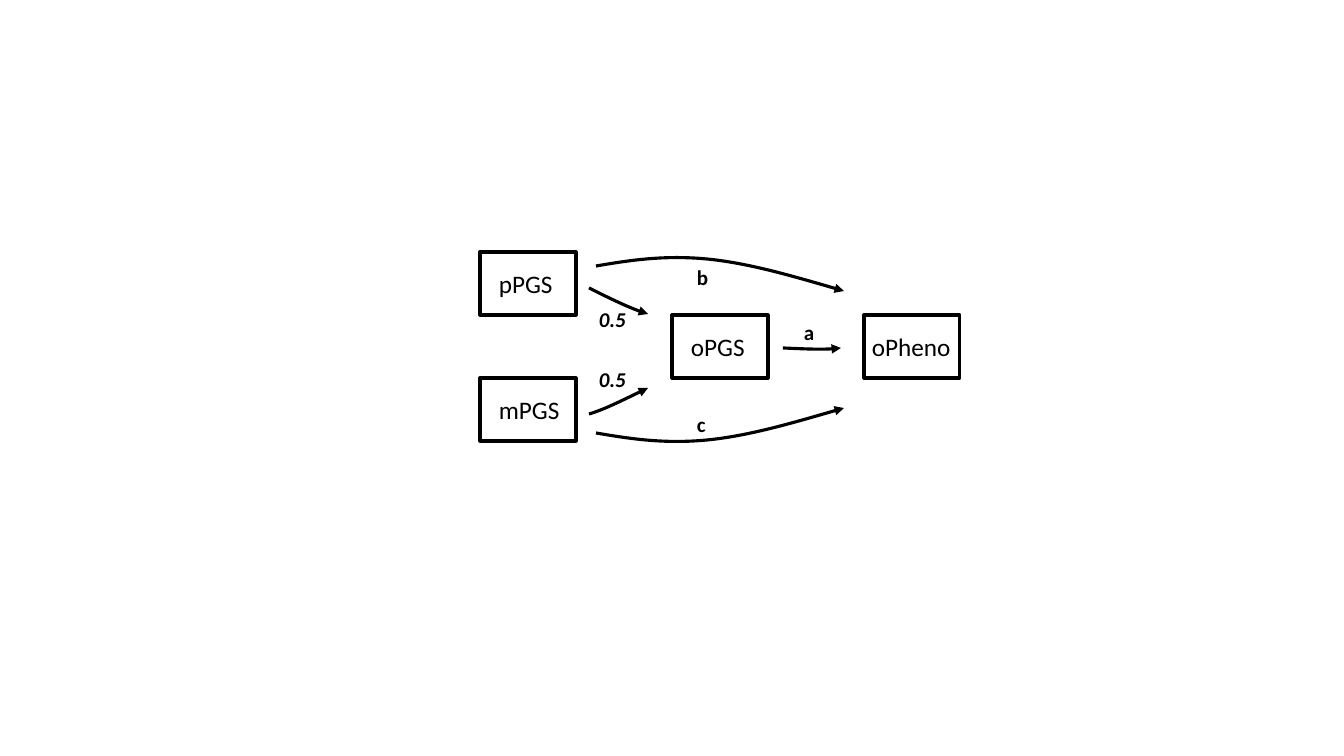
from dataclasses import dataclass

import pptx
import pptx.dml.color
import pptx.enum.shapes
import pptx.oxml.ns
import pptx.oxml.xmlchemy
import pptx.util

BLACK = pptx.dml.color.RGBColor(0, 0, 0)
FONT = "Calibri"
SLIDE_WIDTH, SLIDE_HEIGHT = 1344, 756
EMU_PER_PIXEL = 12192000 / SLIDE_WIDTH
LEFT, TOP = 480, 252
COLUMN_STEP, ROW_STEP = 192, 63
BOX_WIDTH, BOX_HEIGHT = 96, 63
MIRROR_SUM = 699  # y of a paternal path plus y of its maternal twin

Point = tuple[int, int]


@dataclass(frozen=True)
class Variable:
    """A boxed variable on the diagram grid."""
    name: str
    column: int
    row: int
    indent: int = 9


@dataclass(frozen=True)
class Coefficient:
    """A path coefficient written beside its arrow."""
    text: str
    left: int
    top: int
    width: int = 35
    italic: bool = False


VARIABLES = [
    Variable("pPGS", 0, 0),
    Variable("mPGS", 0, 2),
    Variable("oPGS", 1, 1),
    Variable("oPheno", 2, 1, indent=-2),
]
COEFFICIENTS = [
    Coefficient("0.5", 589, 362, 91, italic=True),
    Coefficient("c", 687, 407),
    Coefficient("a", 794, 315),
    Coefficient("b", 687, 260),
    Coefficient("0.5", 589, 302, 87, italic=True),
]
# Each path is a start point followed by triples of Bezier points.
PATERNAL_EFFECT = [(596, 266), (631, 260), (665, 255), (707, 259),
                   (748, 263), (796, 277), (844, 291)]
EFFECTS: list[list[Point]] = [
    [(589, 288), (611, 299), (634, 310), (648, 314)],
    [(589, 414), (603, 410), (625, 399), (648, 388)],
    [(783, 348), (805, 349), (829, 350), (841, 348)],
    PATERNAL_EFFECT,
    [(x, MIRROR_SUM - y) for x, y in PATERNAL_EFFECT],
]


def px(pixels: int) -> pptx.util.Emu:
    """Turn pixels into EMU."""
    return pptx.util.Emu(round(pixels * EMU_PER_PIXEL))


def outline(shape) -> None:
    """Give a shape a black outline without fill or shadow."""
    shape.shadow.inherit = False
    shape.fill.background()
    shape.line.color.rgb = BLACK
    shape.line.width = pptx.util.Pt(2.25)


def write(slide, text: str, left: int, top: int, width: int, height: int,
          size: int, bold: bool = False, italic: bool = False) -> None:
    """Add one line of text."""
    frame = slide.shapes.add_textbox(px(left), px(top), px(width), px(height)).text_frame
    frame.word_wrap = True
    run = frame.paragraphs[0].add_run()
    run.text = text
    run.font.name = FONT
    run.font.size = pptx.util.Pt(size)
    run.font.bold = bold
    run.font.italic = italic
    run.font.color.rgb = BLACK


def draw_variable(slide, variable: Variable) -> None:
    """Draw a variable's box and its name."""
    left = LEFT + variable.column * COLUMN_STEP
    top = TOP + variable.row * ROW_STEP
    box = slide.shapes.add_shape(pptx.enum.shapes.MSO_SHAPE.RECTANGLE,
                                 px(left), px(top), px(BOX_WIDTH), px(BOX_HEIGHT))
    outline(box)
    write(slide, variable.name, left + variable.indent, top + 11, 100, 40, 18)


def draw_effect(slide, points: list[Point]) -> None:
    """Draw a curved arrow through Bezier points."""
    (start_x, start_y), *rest = points
    builder = slide.shapes.build_freeform(px(start_x), px(start_y))
    builder.add_line_segments([(px(x), px(y)) for x, y in rest], close=False)
    arrow = builder.convert_to_shape()
    outline(arrow)

    qn = pptx.oxml.ns.qn
    new_element = pptx.oxml.xmlchemy.OxmlElement
    segments = list(arrow.element.iter(qn("a:lnTo")))
    for first in range(0, len(segments), 3):
        curve = new_element("a:cubicBezTo")
        segments[first].addprevious(curve)
        for segment in segments[first:first + 3]:
            curve.append(segment[0])
            segment.getparent().remove(segment)
    head = new_element("a:tailEnd")
    head.set("type", "triangle")
    arrow.element.spPr.find(qn("a:ln")).append(head)


def main() -> None:
    """Build the path diagram."""
    deck = pptx.Presentation()
    deck.slide_width, deck.slide_height = px(SLIDE_WIDTH), px(SLIDE_HEIGHT)
    slide = deck.slides.add_slide(deck.slide_layouts[6])
    for variable in VARIABLES:
        draw_variable(slide, variable)
    for effect in EFFECTS:
        draw_effect(slide, effect)
    for label in COEFFICIENTS:
        write(slide, label.text, label.left, label.top, label.width, 35, 15,
              bold=True, italic=label.italic)
    deck.save("out.pptx")


main()
